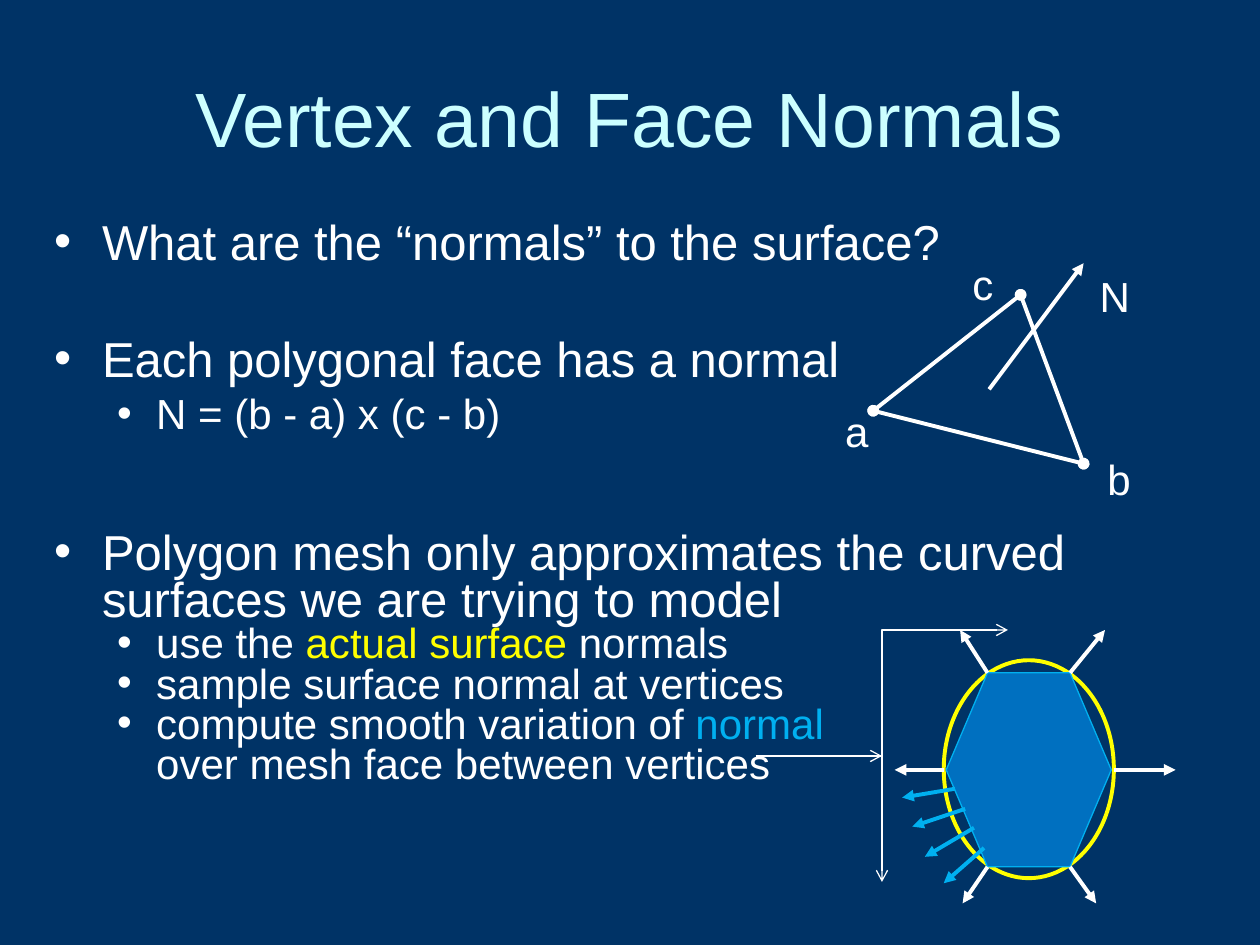
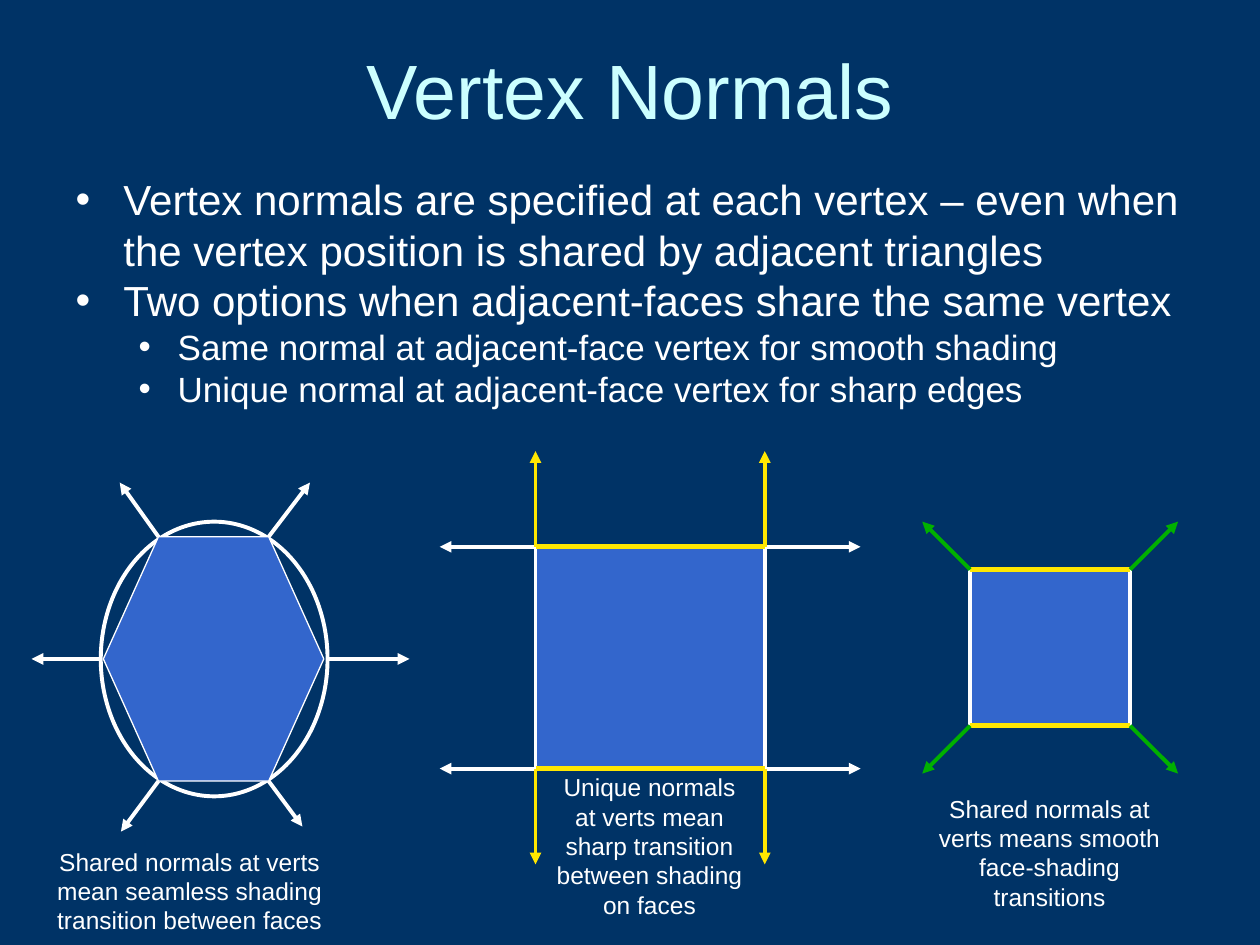
from itertools import product

from lxml.etree import SubElement
from pptx import Presentation
from pptx.dml.color import RGBColor
from pptx.enum.shapes import MSO_CONNECTOR, MSO_SHAPE
from pptx.enum.text import MSO_ANCHOR, MSO_AUTO_SIZE, PP_ALIGN
from pptx.oxml.ns import qn
from pptx.util import Inches, Pt

NAVY = RGBColor(0x00, 0x33, 0x66)
ICE = RGBColor(0xCC, 0xFF, 0xFF)
WHITE = RGBColor(0xFF, 0xFF, 0xFF)
YELLOW = RGBColor(0xFF, 0xFF, 0x00)
GOLD = RGBColor(0xFF, 0xE7, 0x01)
GREEN = RGBColor(0x00, 0xB0, 0x00)
SKY = RGBColor(0x00, 0xB0, 0xF0)
BLUE = RGBColor(0x00, 0x70, 0xC0)
ROYAL = RGBColor(0x33, 0x66, 0xCC)
FONT = "Arial"
INDENTS = [(0.38, -0.38), (0.81, -0.31)]

FACE_PAGE = {
    "title": "Vertex and Face Normals",
    "title_top": 0.3,
    "body": (0.33, 1.72, 9.17, 4.95),
    "sizes": (28, 24),
    "spacing": 0.8,
    "bullets": [
        (0, 0, [("What are the “normals” to the surface?", WHITE)]),
        (0, 40, [("Each polygonal face has a normal", WHITE)]),
        (1, 6, [("N = (b - a) x (c - b)", WHITE)]),
        (0, 54, [("Polygon mesh only approximates the curved surfaces we are trying to model", WHITE)]),
        (1, 0, [("use the ", WHITE), ("actual surface ", YELLOW), ("normals", WHITE)]),
        (1, 0, [("sample surface normal at vertices", WHITE)]),
        (1, 0, [("compute smooth variation of ", WHITE), ("normal ", SKY), "break",
                ("over mesh face between vertices", WHITE)]),
    ],
}
VERTEX_PAGE = {
    "title": "Vertex Normals",
    "title_top": 0.08,
    "body": (0.5, 1.33, 9.08, 5.12),
    "sizes": (24, 20),
    "spacing": 1.0,
    "bullets": [
        (0, 0, [("Vertex normals are specified at each vertex – even when the vertex position "
                 "is shared by adjacent triangles", WHITE)]),
        (0, 0, [("Two options when adjacent-faces share the same vertex", WHITE)]),
        (1, 0, [("Same normal at adjacent-face vertex for smooth shading", WHITE)]),
        (1, 0, [("Unique normal at adjacent-face vertex for sharp edges", WHITE)]),
    ],
}

TRIANGLE = {"a": (6.93, 3.26), "b": (8.6, 3.68), "c": (8.1, 2.34)}
TRIANGLE_EDGES = ["ac", "ab", "bc"]
FACE_NORMAL = ((7.85, 3.09), (8.6, 2.09))
TRIANGLE_LABELS = [
    ("a", (6.61, 3.17, 0.38, 0.5)),
    ("b", (8.69, 3.55, 0.38, 0.5)),
    ("c", (7.62, 2.0, 0.36, 0.5)),
    ("N", (8.63, 2.1, 0.44, 0.5)),
]
INTERPOLATED_NORMALS = [
    ((7.66, 6.42), (7.24, 6.56)),
    ((7.73, 6.57), (7.34, 6.8)),
    ((7.81, 6.73), (7.49, 7.01)),
    ((7.58, 6.26), (7.16, 6.33)),
]
POINTER_CURVES = [
    [(6.31, 5.94), (6.52, 5.62), (6.74, 5.3), (6.86, 5.23), (6.98, 5.16), (6.92, 5.5),
     (7.05, 5.5), (7.18, 5.51), (7.41, 5.38), (7.64, 5.26)],
    [(6.31, 5.94), (6.57, 5.81), (6.83, 5.69), (6.99, 5.7), (7.15, 5.71), (7.2, 5.86), (7.26, 6)],
    [(6.42, 6.44), (6.67, 6.35), (6.93, 6.25), (7.1, 6.26), (7.26, 6.27), (7.34, 6.39), (7.41, 6.51)],
]
SURFACE_MESH = {
    "ellipse": (7.49, 5.24, 1.35, 1.73), "hexagon": (7.51, 5.34, 1.31, 1.54),
    "outline": YELLOW, "fill": BLUE, "edge": SKY,
    "tips": [(7.62, 5), (7.1, 6.11), (9.33, 6.11), (8.77, 5), (7.64, 7.17), (8.7, 7.17)],
}
SEAMLESS_MESH = {
    "ellipse": (0.8, 4.14, 1.8, 2.18), "hexagon": (0.82, 4.26, 1.75, 1.94),
    "outline": WHITE, "fill": ROYAL, "edge": WHITE,
    "tips": [(0.95, 3.83), (0.25, 5.23), (3.25, 5.23), (2.46, 3.83), (0.96, 6.6), (2.4, 6.56)],
}
SQUARES = [
    ((4.25, 4.34, 1.82, 1.76), [(WHITE, 0.76, 0), (GOLD, 0, 0.76)]),
    ((7.7, 4.52, 1.27, 1.24), [(GREEN, 0.38, 0.38)]),
]
CAPTIONS = [
    ("Shared normals at verts mean seamless shading transition between faces", (0.17, 6.67, 2.67, 0.8)),
    ("Unique normals at verts mean sharp transition between shading on faces", (4.28, 6.08, 1.75, 1.27)),
    ("Shared normals at verts means smooth face-shading transitions", (7.33, 6.25, 2, 1.04)),
]


def inches(lengths):
    return [Inches(length) for length in lengths]


def add_run(paragraph, words, size, color):
    run = paragraph.add_run()
    run.text = words
    run.font.name, run.font.size = FONT, Pt(size)
    run.font.color.rgb = color


def place(placeholder, box, anchor):
    placeholder.left, placeholder.top, placeholder.width, placeholder.height = inches(box)
    placeholder.text_frame.auto_size = MSO_AUTO_SIZE.NONE
    placeholder.text_frame.vertical_anchor = anchor


def add_bullet(paragraph, level):
    paragraph.level = level
    properties = paragraph._p.get_or_add_pPr()
    margin, indent = INDENTS[level]
    properties.set("marL", str(Inches(margin)))
    properties.set("indent", str(Inches(indent)))
    color = SubElement(properties, qn("a:buClr"))
    SubElement(color, qn("a:srgbClr"), val=str(WHITE))
    SubElement(properties, qn("a:buFont"), typeface=FONT)
    SubElement(properties, qn("a:buChar"), char="•")


def add_page(deck, page):
    slide = deck.slides.add_slide(deck.slide_layouts[1])
    title, body = slide.placeholders
    place(title, (0.5, page["title_top"], 9, 1.25), MSO_ANCHOR.MIDDLE)
    heading = title.text_frame.paragraphs[0]
    heading.alignment = PP_ALIGN.CENTER
    add_run(heading, page["title"], 44, ICE)

    place(body, page["body"], MSO_ANCHOR.TOP)
    frame = body.text_frame
    for index, (level, gap, pieces) in enumerate(page["bullets"]):
        paragraph = frame.add_paragraph() if index else frame.paragraphs[0]
        add_bullet(paragraph, level)
        paragraph.line_spacing = page["spacing"]
        paragraph.space_before = Pt(gap)
        for piece in pieces:
            if piece == "break":
                paragraph.add_line_break()
            else:
                add_run(paragraph, piece[0], page["sizes"][level], piece[1])
    return slide


def style_line(line, color, width, head=None, tail=None):
    line.color.rgb = color
    line.width = Pt(width)
    outline = line._get_or_add_ln()
    for tag, end in (("a:headEnd", head), ("a:tailEnd", tail)):
        if end:
            SubElement(outline, qn(tag), type=end)


def add_line(slide, start, end, color, width=2.25, head=None, tail=None):
    line = slide.shapes.add_connector(MSO_CONNECTOR.STRAIGHT, *inches(start + end))
    style_line(line.line, color, width, head, tail)
    SubElement(line._element.spPr, qn("a:effectLst"))


def add_arrow(slide, start, end, color):
    add_line(slide, start, end, color, tail="triangle")


def add_outline(slide, kind, box, color, width, fill=None):
    shape = slide.shapes.add_shape(kind, *inches(box))
    shape.shadow.inherit = False
    if fill is None:
        shape.fill.background()
    else:
        shape.fill.solid()
        shape.fill.fore_color.rgb = fill
    style_line(shape.line, color, width)


def add_label(slide, words, box, size, alignment=PP_ALIGN.LEFT, wrap=False):
    frame = slide.shapes.add_textbox(*inches(box)).text_frame
    frame.word_wrap = wrap
    paragraph = frame.paragraphs[0]
    paragraph.alignment = alignment
    add_run(paragraph, words, size, WHITE)


def bezier(p0, p1, p2, p3, t):
    s = 1 - t
    return tuple(s**3 * a + 3 * s * s * t * b + 3 * s * t * t * c + t**3 * d
                 for a, b, c, d in zip(p0, p1, p2, p3))


def add_curve(slide, controls, steps=16):
    points = [bezier(*controls[i:i + 4], step / steps)
              for i in range(0, len(controls) - 1, 3) for step in range(1, steps + 1)]
    builder = slide.shapes.build_freeform(*controls[0], scale=Inches(1))
    builder.add_line_segments(points, close=False)
    curve = builder.convert_to_shape()
    curve.shadow.inherit = False
    curve.fill.background()
    style_line(curve.line, WHITE, 0.75, tail="arrow")


def add_mesh(slide, mesh):
    left, top, width, height = mesh["hexagon"]
    rim, _, rim_width, _ = mesh["ellipse"]
    inset = width / 4
    middle, bottom = top + height / 2, top + height
    near, far = left + inset, left + width - inset
    starts = [(near, top), (rim, middle), (rim + rim_width, middle),
              (far, top), (near, bottom), (far, bottom)]
    add_outline(slide, MSO_SHAPE.OVAL, mesh["ellipse"], mesh["outline"], 2.25)
    add_outline(slide, MSO_SHAPE.HEXAGON, mesh["hexagon"], mesh["edge"], 0.75, mesh["fill"])
    for start, tip in zip(starts, mesh["tips"]):
        add_arrow(slide, start, tip, WHITE)


def add_square(slide, box, normals):
    left, top, width, height = box
    right, bottom = left + width, top + height
    add_outline(slide, MSO_SHAPE.RECTANGLE, box, WHITE, 2.25, ROYAL)
    for y in (top, bottom):
        add_line(slide, (left, y), (right, y), GOLD, width=3)
    for color, reach_x, reach_y in normals:
        for (x, dx), (y, dy) in product(((left, -1), (right, 1)), ((top, -1), (bottom, 1))):
            add_arrow(slide, (x, y), (x + dx * reach_x, y + dy * reach_y), color)


def main():
    deck = Presentation()
    deck.slide_width, deck.slide_height = Inches(10), Inches(7.5)
    background = deck.slide_master.background.fill
    background.solid()
    background.fore_color.rgb = NAVY

    face = add_page(deck, FACE_PAGE)
    for start, end in TRIANGLE_EDGES:
        add_line(face, TRIANGLE[start], TRIANGLE[end], WHITE, head="oval", tail="oval")
    add_arrow(face, *FACE_NORMAL, WHITE)
    for words, box in TRIANGLE_LABELS:
        add_label(face, words, box, 24)
    add_mesh(face, SURFACE_MESH)
    for controls in POINTER_CURVES:
        add_curve(face, controls)
    for start, end in INTERPOLATED_NORMALS:
        add_arrow(face, start, end, SKY)

    vertex = add_page(deck, VERTEX_PAGE)
    add_mesh(vertex, SEAMLESS_MESH)
    for box, normals in SQUARES:
        add_square(vertex, box, normals)
    for words, box in CAPTIONS:
        add_label(vertex, words, box, 14, PP_ALIGN.CENTER, wrap=True)

    deck.save("out.pptx")


if __name__ == "__main__":
    main()
